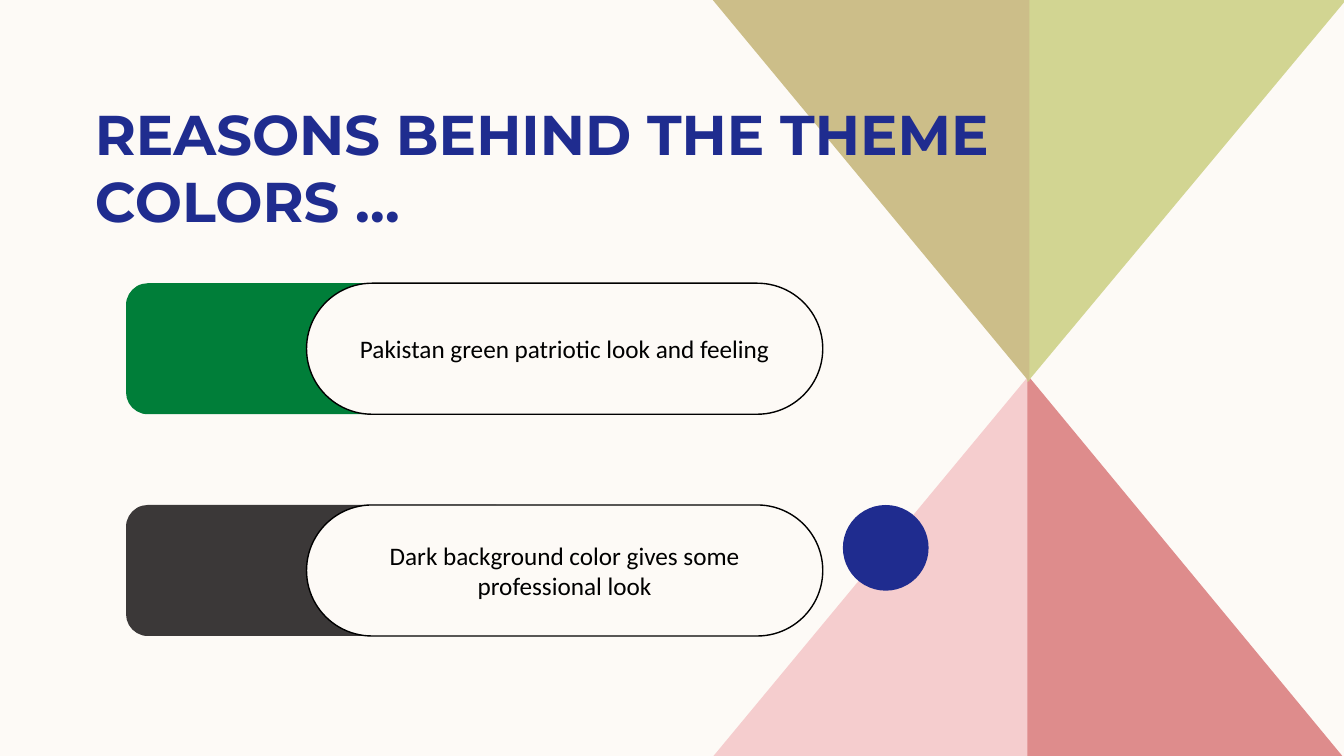
"""Build the slide on the reasons behind the theme colors."""
from dataclasses import dataclass

from pptx import Presentation
from pptx import util as u
from pptx.dml.color import RGBColor
from pptx.enum import shapes, text

NAVY, CREAM, BLACK = "1F2C8F", "FDFAF6", "000000"
Kind = shapes.MSO_SHAPE


@dataclass
class Wedge:
    tip: tuple[float, float]
    side: float
    base: float
    color: str


@dataclass
class Reason:
    top: float
    color: str
    words: str


WEDGES = [
    Wedge((10.21, 3.72), 7.06, 7.52, "F5CDCE"),
    Wedge((10.19, 3.72), 13.33, 7.52, "DE8C8C"),
    Wedge((10.19, 3.79), 13.35, 0, "D2D592"),
    Wedge((10.21, 3.79), 7.07, 0, "CCBE89"),
]
REASONS = [
    Reason(2.81, "007E39", "Pakistan green patriotic look and feeling"),
    Reason(5.01, "3B3838", "Dark background color gives some professional look"),
]


def paint(item, color: str) -> None:
    item.fill.solid()
    item.fill.fore_color.rgb = RGBColor.from_string(color)


def style(frame, font: str, size: float, color: str, align, bold: bool = False) -> None:
    frame.word_wrap = True
    for para in frame.paragraphs:
        para.alignment = align
        for run in para.runs:
            run.font.name = font
            run.font.size = u.Pt(size)
            run.font.bold = bold
            run.font.color.rgb = RGBColor.from_string(color)


def finish(shape, color: str) -> None:
    paint(shape, color)
    shape.line.fill.background()
    shape.shadow.inherit = False


def add_wedge(slide, wedge: Wedge) -> None:
    x, y = wedge.tip
    pen = slide.shapes.build_freeform(u.Inches(x), u.Inches(y))
    ends = [(wedge.side, wedge.base), (x, wedge.base)]
    pen.add_line_segments([(u.Inches(a), u.Inches(b)) for a, b in ends])
    finish(pen.convert_to_shape(), wedge.color)


def add_block(slide, kind, box: tuple[float, float, float, float], color: str):
    shape = slide.shapes.add_shape(kind, *map(u.Inches, box))
    finish(shape, color)
    return shape


def add_title(slide) -> None:
    title = slide.shapes.title
    title.left, title.top = u.Inches(0.84), u.Inches(0.94)
    title.width, title.height = u.Inches(11.5), u.Inches(1.73)
    frame = title.text_frame
    frame.text = "REASONS BEHIND THE THEME COLORS …"
    frame.auto_size = text.MSO_AUTO_SIZE.NONE
    frame.vertical_anchor = text.MSO_ANCHOR.TOP
    style(frame, "Montserrat", 40, NAVY, text.PP_ALIGN.LEFT, True)
    title.element.getparent().append(title.element)


def add_reason(slide, reason: Reason) -> None:
    add_block(slide, Kind.ROUNDED_RECTANGLE, (1.25, reason.top, 3.88, 1.3), reason.color)
    pill = add_block(slide, Kind.ROUNDED_RECTANGLE, (3.04, reason.top, 5.12, 1.3), CREAM)
    pill.adjustments[0] = 0.5
    paint(pill.line, BLACK)
    pill.line.width = u.Pt(1)
    frame = pill.text_frame
    frame.text = reason.words
    frame.vertical_anchor = text.MSO_ANCHOR.MIDDLE
    style(frame, "Calibri", 18, BLACK, text.PP_ALIGN.CENTER)


def main() -> None:
    deck = Presentation()
    deck.slide_width, deck.slide_height = u.Inches(13.33), u.Inches(7.5)
    slide = deck.slides.add_slide(deck.slide_layouts[5])
    paint(slide.background, CREAM)
    for wedge in WEDGES:
        add_wedge(slide, wedge)
    add_block(slide, Kind.OVAL, (8.36, 5.01, 0.85, 0.85), NAVY)
    add_title(slide)
    for reason in REASONS:
        add_reason(slide, reason)
    deck.save("out.pptx")


if __name__ == "__main__":
    main()
